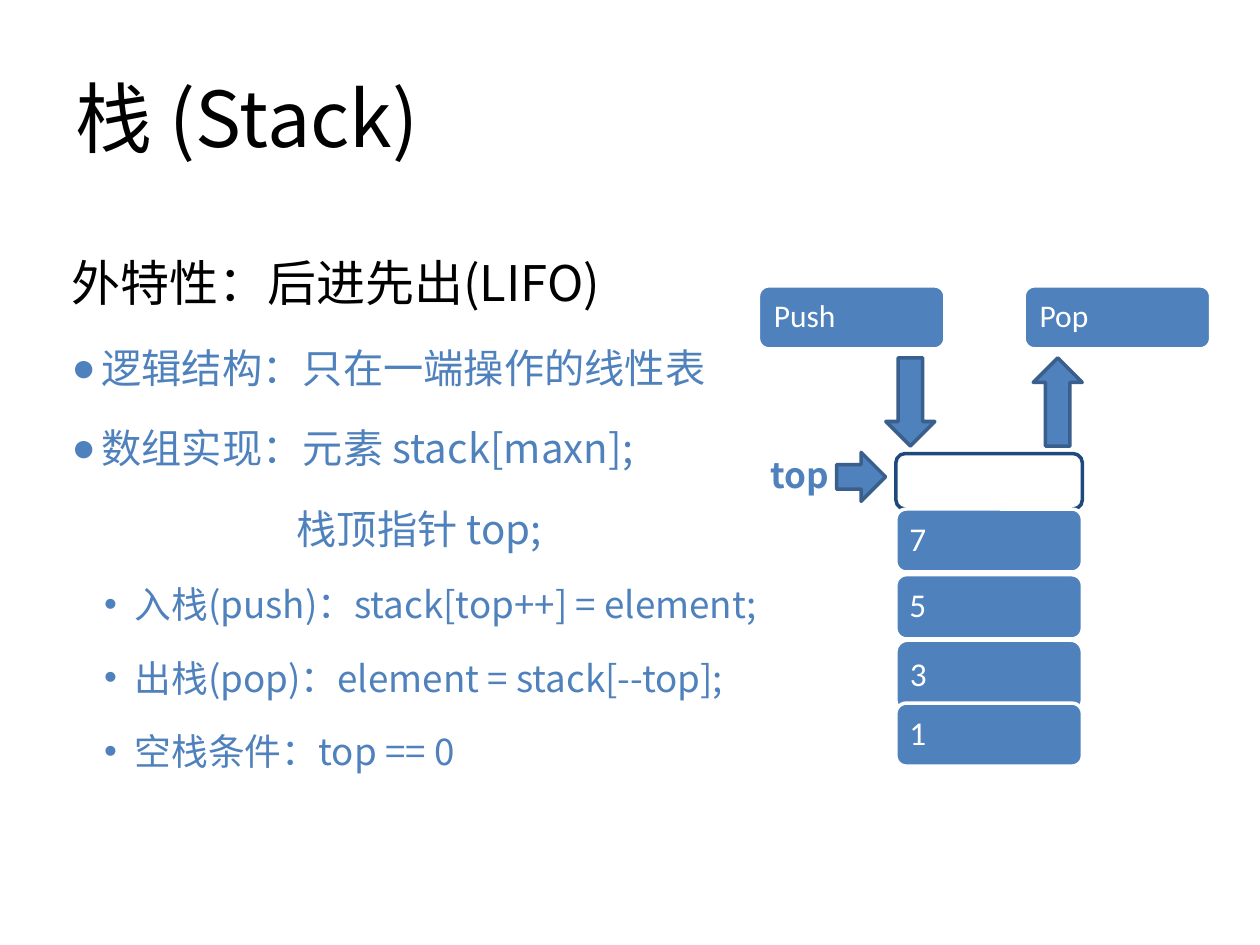
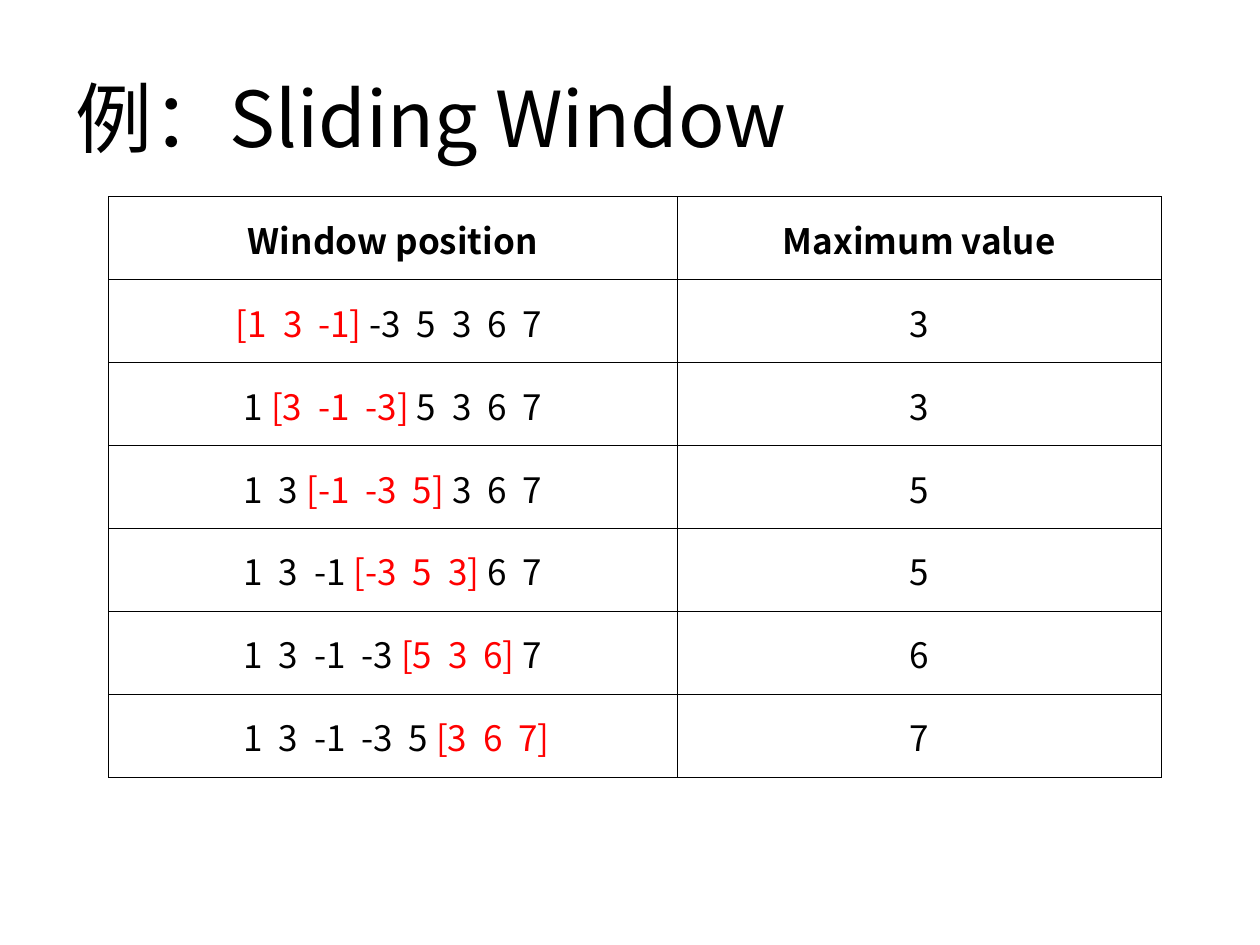
from pptx import Presentation
from pptx.dml.color import RGBColor
from pptx.enum.shapes import MSO_SHAPE
from pptx.enum.text import MSO_ANCHOR, MSO_AUTO_SIZE, PP_ALIGN
from pptx.oxml.ns import qn
from pptx.util import Pt
from lxml.etree import SubElement

HUES = {"ink": "000000", "blue": "4F81BD", "edge": "3A5F8C", "navy": "1F497D",
        "white": "FFFFFF", "red": "FF0000"}
SANS = "Noto Sans CJK SC"
LATIN = "Calibri"
SPACE = chr(160)


def hue(name):
    return RGBColor.from_string(HUES[name])


def write(para, text, size=20, color="ink", font=SANS, bold=False, align=PP_ALIGN.LEFT):
    """Append one formatted run to a paragraph."""
    para.alignment = align
    run = para.add_run()
    run.text = text
    run.font.size = Pt(size)
    run.font.bold = bold
    run.font.color.rgb = hue(color)
    run.font.name = font
    SubElement(run._r.get_or_add_rPr(), qn("a:ea"), typeface=font)


def place(shape, left, top, width, height):
    shape.left, shape.top = Pt(left), Pt(top)
    shape.width, shape.height = Pt(width), Pt(height)


def title(slide, text):
    head = slide.shapes.title
    place(head, 36, 21.6, 648, 90)
    head.text_frame.vertical_anchor = MSO_ANCHOR.MIDDLE
    write(head.text_frame.paragraphs[0], text, size=44)


def indent(para, left, hang=0, mark=None):
    """Set the indents in points and the bullet character, if any."""
    props = para._p.get_or_add_pPr()
    props.set("marL", str(Pt(left)))
    props.set("indent", str(Pt(-hang)))
    if mark:
        SubElement(props, qn("a:buFont"), typeface="Arial")
        SubElement(props, qn("a:buChar"), char=mark)
    else:
        SubElement(props, qn("a:buNone"))


def notes(body, box):
    """Fill the body placeholder with the outline of the stack."""
    lead = dict(size=28, color="ink")
    main = dict(size=23, color="blue")
    sub = dict(size=21, color="blue")
    dot = (17, 17, "●")
    small = (36, 17.5, "•")
    items = [
        ("外特性：后进先出(LIFO)", 0, lead, (0,)),
        ("逻辑结构：只在一端操作的线性表", 0, main, dot),
        ("数组实现：元素 stack[maxn];", 0, main, dot),
        ("栈顶指针 top;", 3, main, (128.5,)),
        ("入栈(push)：stack[top++] = element;", 1, sub, small),
        ("出栈(pop)：element = stack[--top];", 1, sub, small),
        ("空栈条件：top == 0", 1, sub, small),
    ]
    place(body, *box)
    frame = body.text_frame
    frame.auto_size = MSO_AUTO_SIZE.NONE
    for i, (text, level, style, inset) in enumerate(items):
        para = frame.add_paragraph() if i else frame.paragraphs[0]
        para.level = level
        para.line_spacing = 1.5
        para.space_before = Pt(style["size"] * 0.2)
        indent(para, *inset)
        write(para, text, **style)


def draw(slide, kind, box, fill="blue", line="white", text=None, size=18, inset=7.2, turn=0):
    shape = slide.shapes.add_shape(kind, *map(Pt, box))
    shape.shadow.inherit = False
    shape.rotation = turn
    if fill:
        shape.fill.solid()
        shape.fill.fore_color.rgb = hue(fill)
    else:
        shape.fill.background()
    shape.line.color.rgb = hue(line)
    shape.line.width = Pt(2)
    if text:
        frame = shape.text_frame
        frame.margin_left, frame.margin_bottom = Pt(inset), Pt(6.5)
        write(frame.paragraphs[0], text, size=size, color="white", font=LATIN)


def stack(slide, left, top):
    """Draw the stack with its push and pop arrows from the given corner."""
    wide, pile = 106.6, 78.5
    block, arrow = MSO_SHAPE.ROUNDED_RECTANGLE, MSO_SHAPE.DOWN_ARROW
    draw(slide, arrow, (left + 44.7, top + 95.1, 28, 28), line="edge", turn=270)
    draw(slide, block, (left + pile, top + 95.8, wide, 31.7), fill=None, line="navy")
    for value, y, high in (("7", 127.5, 36), ("5", 165, 36.7), ("3", 202.4, 41), ("1", 238.4, 36)):
        draw(slide, block, (left + pile, top + y, wide, high), text=value, size=19, inset=6)
    for name, x, shaft, turn in (("Push", 0, 72.8, 0), ("Pop", 151.8, 157, 180)):
        draw(slide, arrow, (left + shaft, top + 41.1, 28, 50.4), line="edge", turn=turn)
        draw(slide, block, (left + x, top, wide, 36), text=name)
    label = slide.shapes.add_textbox(Pt(left), Pt(top + 92.2), Pt(50.4), Pt(31.7))
    write(label.text_frame.paragraphs[0], "top", color="blue", bold=True)


def cell(spot, parts, bold=False):
    """Fill a bordered cell with (text, colour) parts."""
    spot.margin_left = spot.margin_right = spot.margin_top = Pt(0.75)
    spot.margin_bottom = 0
    spot.vertical_anchor = MSO_ANCHOR.MIDDLE
    for text, color in parts:
        write(spot.text_frame.paragraphs[0], text, color=color, bold=bold, align=PP_ALIGN.CENTER)
    props = spot._tc.get_or_add_tcPr()
    for side in ("lnL", "lnR", "lnT", "lnB"):
        line = SubElement(props, qn("a:" + side), w=str(Pt(0.5)))
        SubElement(SubElement(line, qn("a:solidFill")), qn("a:srgbClr"), val=HUES["ink"])
    spot.fill.solid()
    spot.fill.fore_color.rgb = hue("white")


def spread(nums):
    return (SPACE * 2).join(map(str, nums))


def grid(slide, left, top, width, height):
    """List each window of three numbers with its maximum."""
    nums, span = [1, 3, -1, -3, 5, 3, 6, 7], 3
    count = len(nums) - span + 1
    table = slide.shapes.add_table(count + 1, 2, Pt(left), Pt(top), Pt(width), Pt(height)).table
    table.first_row = table.horz_banding = False
    for col, share in zip(table.columns, (0.54, 0.46)):
        col.width = Pt(width * share)
    for row in table.rows:
        row.height = Pt(height / (count + 1))
    for i, text in enumerate(("Window position", "Maximum value")):
        cell(table.cell(0, i), [(text, "ink")], bold=True)
    for i in range(count):
        view = nums[i:i + span]
        parts = [(f"[{spread(view)}]", "red")]
        if i:
            parts.insert(0, (SPACE + spread(nums[:i]) + SPACE, "ink"))
        if i + span < len(nums):
            parts.append((SPACE + spread(nums[i + span:]) + SPACE, "ink"))
        cell(table.cell(i + 1, 0), parts)
        cell(table.cell(i + 1, 1), [(str(max(view)), "ink")])


def main():
    deck = Presentation()
    deck.slide_width, deck.slide_height = Pt(720), Pt(540)

    slide = deck.slides.add_slide(deck.slide_layouts[1])
    title(slide, "栈 (Stack)")
    notes(slide.placeholders[1], (33.8, 123.8, 427.7, 348.5))
    stack(slide, 433.4, 163.4)

    slide = deck.slides.add_slide(deck.slide_layouts[5])
    title(slide, "例：Sliding Window")
    grid(slide, 62, 112.3, 601.8, 332)

    deck.save("out.pptx")


if __name__ == "__main__":
    main()
